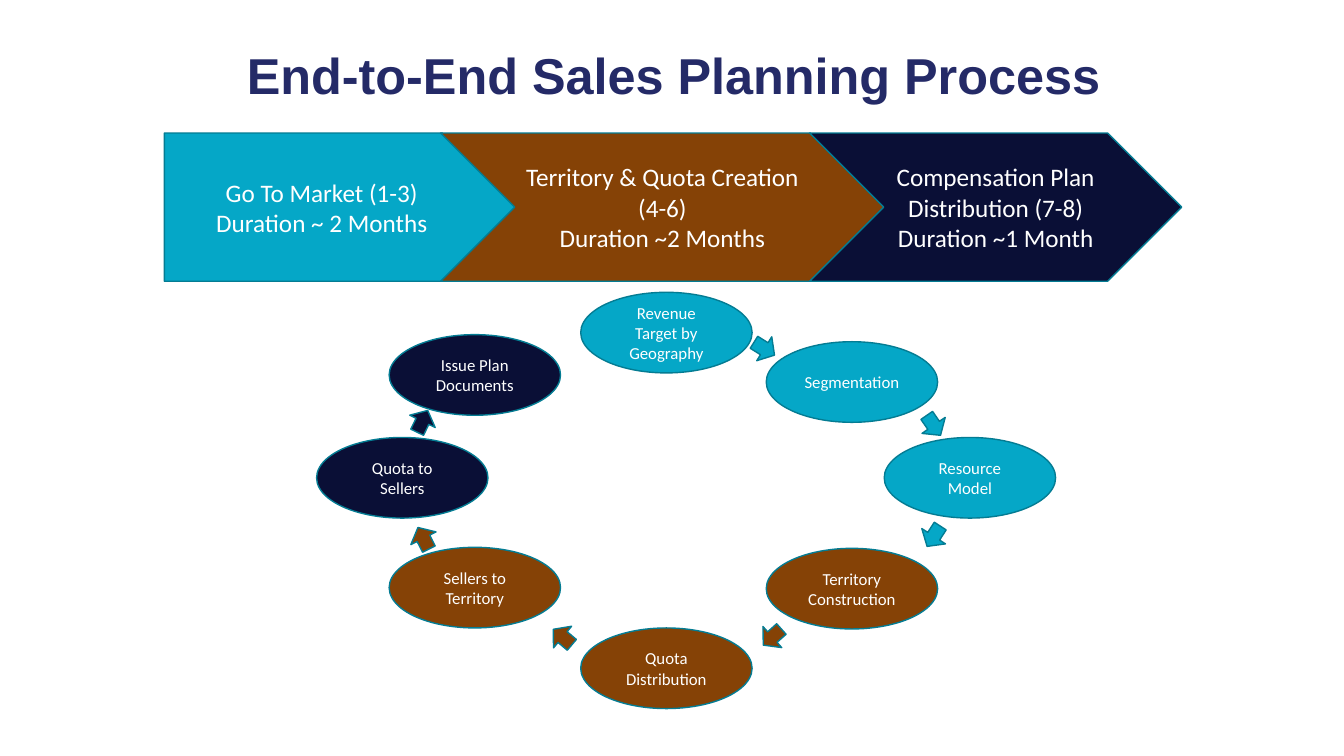
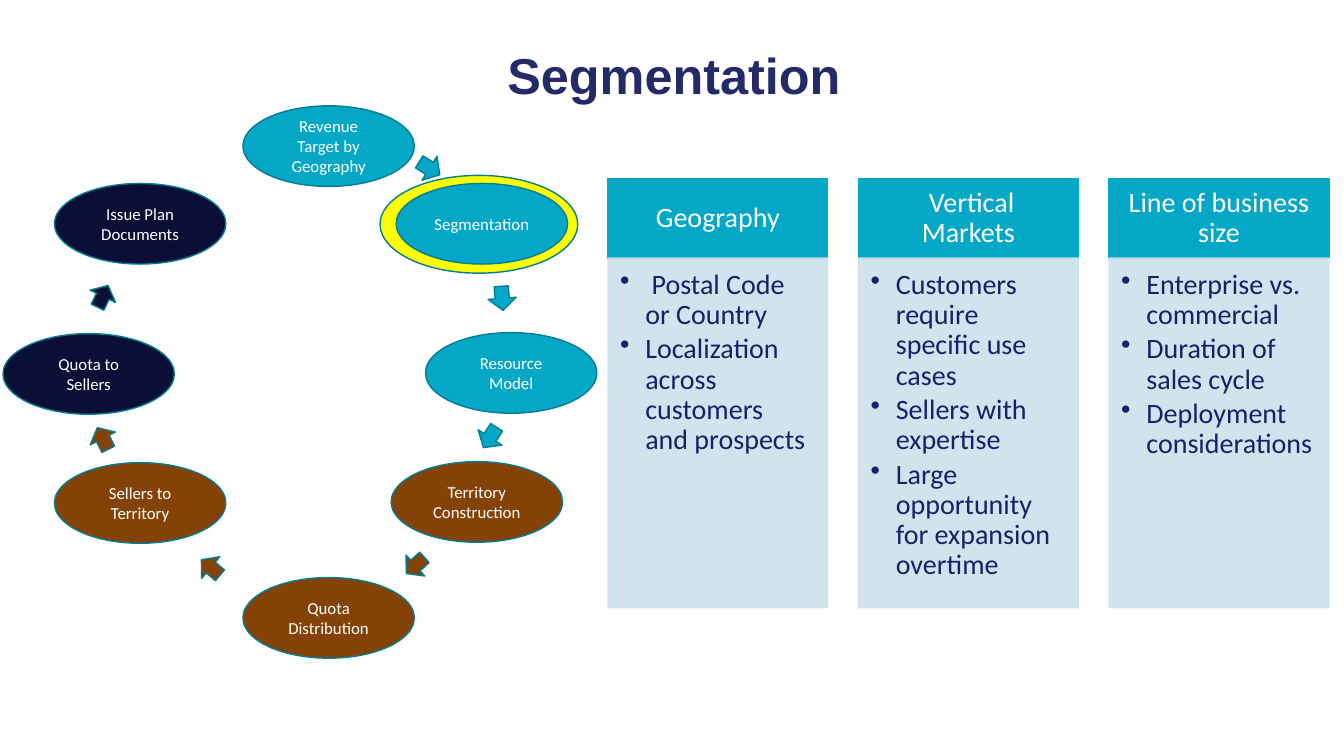
from lxml import etree
from pptx import Presentation
from pptx.dml.color import RGBColor
from pptx.enum import shapes, text
from pptx.oxml import ns
from pptx.util import Inches, Pt

COLORS = {
    "title": "242A67",
    "market": "05A7C7",
    "territory": "854206",
    "pay": "0A0F36",
    "outline": "047C93",
    "highlight": "FFFF00",
    "panel": "CCE1EB",
    "panel_text": "181F6B",
    "white": "FFFFFF",
}
STEPS = [
    ("Revenue Target by Geography", "market"),
    ("Segmentation", "market"),
    ("Resource Model", "market"),
    ("Territory Construction", "territory"),
    ("Quota Distribution", "territory"),
    ("Sellers to Territory", "territory"),
    ("Quota to Sellers", "pay"),
    ("Issue Plan Documents", "pay"),
]
PHASES = [
    ("PENTAGON", 1.63, 3.49, "market", ["Go To Market (1-3)", "Duration ~ 2 Months"]),
    ("CHEVRON", 4.37, 4.4, "territory",
     ["Territory & Quota Creation (4-6)", "Duration ~2 Months"]),
    ("CHEVRON", 8.03, 3.69, "pay",
     ["Compensation Plan Distribution (7-8)", "Duration ~1 Month"]),
]
CRITERIA = [
    ("Geography",
     [" Postal Code or Country", "Localization across customers and prospects"]),
    (" Vertical Markets",
     ["Customers require specific use cases", "Sellers with expertise",
      "Large opportunity for expansion overtime"]),
    ("Line of business size",
     ["Enterprise vs. commercial", "Duration of sales cycle",
      "Deployment considerations"]),
]
WIDE_RING = {
    "steps": [(5.76, 2.9), (7.6, 3.39), (8.77, 4.34), (7.6, 5.44),
              (5.76, 6.23), (3.86, 5.43), (3.14, 4.34), (3.86, 3.32)],
    "arrows": [(7.46, 3.32, 32.1), (9.14, 4.08, 55.3), (9.14, 5.18, 122.9),
               (7.54, 6.18, 138.3), (5.46, 6.18, 220), (4.08, 5.2, 243.2),
               (4.07, 4.04, 295.8)],
}
SIDE_RING = {
    "steps": [(2.41, 1.05), (3.93, 1.82), (4.22, 3.3), (3.88, 4.58),
              (2.41, 5.73), (0.54, 4.59), (0.03, 3.31), (0.54, 1.82)],
    "arrows": [(4.14, 1.53, 32.1), (4.86, 2.82, 85.7), (4.74, 4.2, 122.9),
               (4, 5.47, 138.3), (1.97, 5.49, 220), (0.9, 4.21, 243.2),
               (0.9, 2.8, 295.8)],
}


def rgb(name):
    return RGBColor.from_string(COLORS[name])


def style_font(paragraph, size, color, name="Calibri", bold=False):
    font = paragraph.font
    font.name, font.size, font.bold = name, Pt(size), bold
    font.color.rgb = rgb(color)


def add_titled_slide(prs, heading):
    slide = prs.slides.add_slide(prs.slide_layouts[5])
    title = slide.shapes.title
    title.left, title.top = Inches(0.26), Inches(0.32)
    title.width, title.height = Inches(12.85), Inches(0.91)
    title.text_frame.text = heading
    title.text_frame.vertical_anchor = text.MSO_ANCHOR.MIDDLE
    paragraph = title.text_frame.paragraphs[0]
    paragraph.alignment = text.PP_ALIGN.CENTER
    paragraph.line_spacing = 0.9
    style_font(paragraph, 36, "title", "Arial", True)
    return slide


def add_block(slide, kind, left, top, width, height, fill, line="outline"):
    block = slide.shapes.add_shape(
        getattr(shapes.MSO_SHAPE, kind),
        Inches(left), Inches(top), Inches(width), Inches(height))
    block.shadow.inherit = False
    block.fill.solid()
    block.fill.fore_color.rgb = rgb(fill)
    block.line.color.rgb = rgb(line)
    block.line.width = Pt(1)
    return block


def write_lines(block, lines, size, color="white", align="CENTER",
                spacing=None, after=0, bullets=False):
    frame = block.text_frame
    frame.word_wrap = True
    for index, line in enumerate(lines):
        paragraph = frame.add_paragraph() if index else frame.paragraphs[0]
        paragraph.text = line
        paragraph.alignment = getattr(text.PP_ALIGN, align)
        paragraph.line_spacing = spacing
        paragraph.space_after = Pt(after)
        if bullets:
            add_bullet(paragraph)
        style_font(paragraph, size, color)


def add_bullet(paragraph):
    properties = paragraph._p.get_or_add_pPr()
    properties.set("marL", str(Inches(0.25)))
    properties.set("indent", str(Inches(-0.25)))
    etree.SubElement(properties, ns.qn("a:buChar")).set("char", "•")


def set_margins(block, left, top, right, bottom):
    frame = block.text_frame
    frame.margin_left, frame.margin_top = Inches(left), Inches(top)
    frame.margin_right, frame.margin_bottom = Inches(right), Inches(bottom)


def set_opacity(block, percent):
    for color in block._element.spPr.iter(ns.qn("a:srgbClr")):
        etree.SubElement(color, ns.qn("a:alpha")).set("val", str(percent * 1000))


def add_ring(slide, ring):
    for (label, color), (left, top) in zip(STEPS, ring["steps"]):
        step = add_block(slide, "OVAL", left, top, 1.7, 0.8, color)
        write_lines(step, [label], 12)
    for (_, color), (left, top, angle) in zip(STEPS, ring["arrows"]):
        arrow = add_block(slide, "RIGHT_ARROW", left, top, 0.24, 0.28, color)
        arrow.rotation = angle


def add_phases(slide):
    for kind, left, width, color, lines in PHASES:
        phase = add_block(slide, kind, left, 1.32, width, 1.47, color)
        write_lines(phase, lines, 18)


def add_criteria(slide):
    for index, (heading, points) in enumerate(CRITERIA):
        left = 6.03 + index * 2.485
        header = add_block(slide, "RECTANGLE", left, 1.77, 2.18, 0.79,
                           "market", "market")
        set_margins(header, 0.16, 0.09, 0.16, 0.09)
        write_lines(header, [heading], 20, spacing=0.9)
        panel = add_block(slide, "RECTANGLE", left, 2.56, 2.18, 3.47,
                          "panel", "panel")
        set_opacity(panel, 90)
        set_margins(panel, 0.12, 0.12, 0.16, 0.17)
        panel.text_frame.vertical_anchor = text.MSO_ANCHOR.TOP
        write_lines(panel, points, 20, "panel_text", "LEFT", 0.9, 3, True)


def main():
    prs = Presentation()
    prs.slide_width, prs.slide_height = Inches(13.33), Inches(7.5)

    process = add_titled_slide(prs, "End-to-End Sales Planning Process")
    add_phases(process)
    add_ring(process, WIDE_RING)

    segmentation = add_titled_slide(prs, "Segmentation")
    add_block(segmentation, "OVAL", 3.77, 1.74, 1.96, 0.97, "highlight")
    add_criteria(segmentation)
    add_ring(segmentation, SIDE_RING)

    prs.save("out.pptx")


if __name__ == "__main__":
    main()
